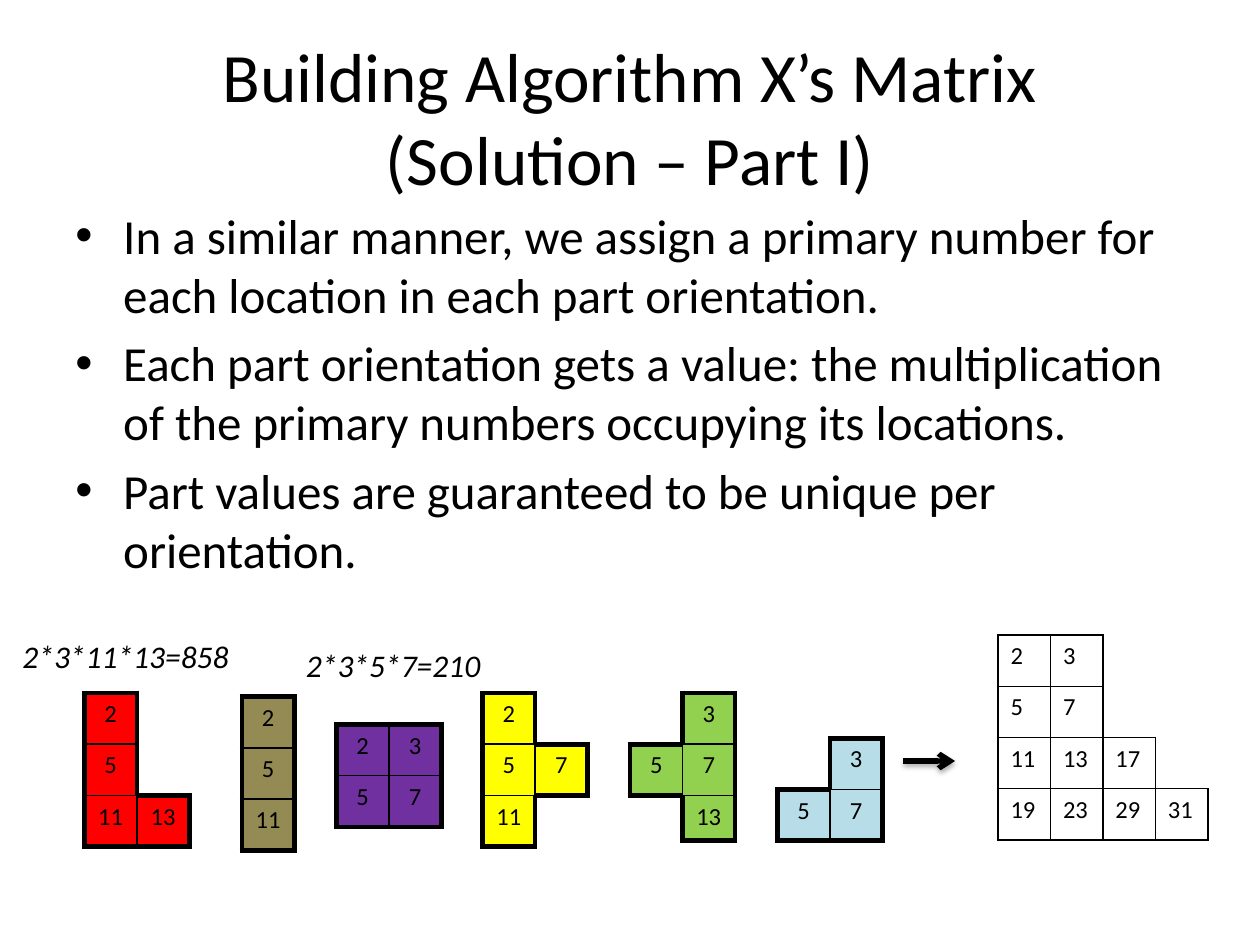
from dataclasses import dataclass

from lxml.etree import SubElement
from pptx import Presentation
from pptx.dml.color import RGBColor
from pptx.enum.shapes import MSO_CONNECTOR
from pptx.enum.text import MSO_ANCHOR, PP_ALIGN
from pptx.oxml import parse_xml
from pptx.oxml.ns import nsdecls, qn
from pptx.slide import Slide
from pptx.table import _Cell
from pptx.text.text import _Paragraph
from pptx.util import Inches, Pt

BLACK = RGBColor(0x00, 0x00, 0x00)
WHITE = RGBColor(0xFF, 0xFF, 0xFF)
RED = RGBColor(0xFF, 0x00, 0x00)
GREEN = RGBColor(0x92, 0xD0, 0x50)
OLIVE = RGBColor(0x94, 0x8A, 0x54)
LIGHT_BLUE = RGBColor(0xB7, 0xDE, 0xE8)
PURPLE = RGBColor(0x70, 0x30, 0xA0)
YELLOW = RGBColor(0xFF, 0xFF, 0x00)

CELL_WIDTH = Inches(5 / 12)
CELL_HEIGHT = Inches(1.22 / 3)
INNER_BORDER = 1
NEIGHBOURS = {"lnL": (0, -1), "lnR": (0, 1), "lnT": (-1, 0), "lnB": (1, 0)}
TITLE_FORMAT = {"name": "Calibri", "size": Pt(39.6)}
BODY_FORMAT = {"name": "Calibri", "size": Pt(28)}
LABEL_FORMAT = {"name": "Calibri", "size": Pt(18), "italic": True}
NUMBER_FORMAT = {"name": "Calibri", "size": Pt(14)}


@dataclass
class Part:
    left: float
    top: float
    color: RGBColor
    rows: list[list[str]]
    outline: int = 3
    alignment: PP_ALIGN = PP_ALIGN.CENTER
    last_row_height: int = CELL_HEIGHT


@dataclass
class TextBlock:
    left: float
    top: float
    width: float
    height: float
    lines: list[str]
    format: dict
    anchor: MSO_ANCHOR = MSO_ANCHOR.TOP
    alignment: PP_ALIGN = PP_ALIGN.LEFT
    bulleted: bool = False


TEXT_BLOCKS = [
    TextBlock(0.5, 0.3, 9, 1.25, ["Building Algorithm X’s Matrix\v(Solution – Part I)"],
              TITLE_FORMAT, MSO_ANCHOR.MIDDLE, PP_ALIGN.CENTER),
    TextBlock(0.5, 1.58, 9, 4.95, [
        "In a similar manner, we assign a primary number for each location in each part orientation.",
        "Each part orientation gets a value: the multiplication of the primary numbers occupying its locations.",
        "Part values are guaranteed to be unique per orientation.",
    ], BODY_FORMAT, bulleted=True),
    TextBlock(0.08, 5.01, 2, 0.4, ["2*3*11*13=858"], LABEL_FORMAT),
    TextBlock(2.33, 5.08, 2, 0.4, ["2*3*5*7=210"], LABEL_FORMAT),
]

PARTS = [
    Part(0.67, 5.5, RED, [["2", ""], ["5", ""], ["11", "13"]]),
    Part(5, 5.5, GREEN, [["", "3"], ["5", "7"], ["", "13"]], last_row_height=Inches(0.36)),
    Part(1.92, 5.53, OLIVE, [["2"], ["5"], ["11"]]),
    Part(6.17, 5.86, LIGHT_BLUE, [["", "3"], ["5", "7"]]),
    Part(2.67, 5.75, PURPLE, [["2", "3"], ["5", "7"]]),
    Part(3.83, 5.5, YELLOW, [["2", ""], ["5", "7"], ["11", ""]]),
]
BOARD = Part(7.92, 5.04, WHITE, [
    ["2", "3", "", ""], ["5", "7", "", ""], ["11", "13", "17", ""], ["19", "23", "29", "31"],
], outline=1, alignment=PP_ALIGN.LEFT)


def write(paragraph: _Paragraph, text: str, format_values: dict) -> None:
    """Fill a paragraph with black text in the given format."""
    paragraph.text = text
    for run in paragraph.runs:
        run.font.color.rgb = BLACK
        for attribute, value in format_values.items():
            setattr(run.font, attribute, value)


def add_bullet(paragraph: _Paragraph) -> None:
    """Give a paragraph a hanging round bullet."""
    properties = paragraph._p.get_or_add_pPr()
    properties.set("marL", str(Inches(0.38)))
    properties.set("indent", str(-Inches(0.38)))
    SubElement(properties, qn("a:buFont"), typeface="Arial")
    SubElement(properties, qn("a:buChar"), char="•")
    paragraph.space_before = Pt(5.6)


def add_text_block(slide: Slide, block: TextBlock) -> None:
    """Draw a text box with one paragraph per line of content."""
    frame = slide.shapes.add_textbox(Inches(block.left), Inches(block.top),
                                     Inches(block.width), Inches(block.height)).text_frame
    frame.word_wrap = True
    frame.vertical_anchor = block.anchor
    for index, line in enumerate(block.lines):
        paragraph = frame.add_paragraph() if index else frame.paragraphs[0]
        write(paragraph, line, block.format)
        paragraph.alignment = block.alignment
        if block.bulleted:
            add_bullet(paragraph)


def number_at(part: Part, row: int, column: int) -> str:
    """Return the number at a location, or nothing outside the part."""
    inside = 0 <= row < len(part.rows) and 0 <= column < len(part.rows[0])
    return part.rows[row][column] if inside else ""


def set_borders(cell: _Cell, part: Part, row: int, column: int) -> None:
    """Outline the part heavily and separate its own locations thinly."""
    number = number_at(part, row, column)
    for position, (side, (down, across)) in enumerate(NEIGHBOURS.items()):
        neighbour = number_at(part, row + down, column + across)
        width = INNER_BORDER if number and neighbour else part.outline
        paint = (f'<a:solidFill><a:srgbClr val="{BLACK}"/></a:solidFill>'
                 if number or neighbour else "<a:noFill/>")
        border = parse_xml(f'<a:{side} {nsdecls("a")} w="{Pt(width)}">{paint}</a:{side}>')
        cell._tc.get_or_add_tcPr().insert(position, border)


def add_part(slide: Slide, part: Part):
    """Draw a part as a table of numbered locations and return the table."""
    row_count, column_count = len(part.rows), len(part.rows[0])
    height = CELL_HEIGHT * (row_count - 1) + part.last_row_height
    table = slide.shapes.add_table(row_count, column_count, Inches(part.left), Inches(part.top),
                                   CELL_WIDTH * column_count, height).table
    table.first_row = table.horz_banding = False
    for column in table.columns:
        column.width = CELL_WIDTH
    for row in table.rows:
        row.height = CELL_HEIGHT
    table.rows[row_count - 1].height = part.last_row_height
    for row, numbers in enumerate(part.rows):
        for column, number in enumerate(numbers):
            cell = table.cell(row, column)
            if number:
                cell.fill.solid()
                cell.fill.fore_color.rgb = part.color
                write(cell.text_frame.paragraphs[0], number, NUMBER_FORMAT)
                cell.text_frame.paragraphs[0].alignment = part.alignment
            else:
                cell.fill.background()
                cell.margin_top = cell.margin_bottom = 0
            set_borders(cell, part, row, column)
    return table


def add_arrow(slide: Slide) -> None:
    """Draw the shadowed arrow that leads from the parts to the board."""
    arrow = slide.shapes.add_connector(MSO_CONNECTOR.STRAIGHT, Inches(7.17), Inches(6.04),
                                       Inches(7.58), Inches(6.04))
    arrow.line.color.rgb = BLACK
    arrow.line.width = Pt(3)
    properties = arrow._element.spPr
    SubElement(properties.find(qn("a:ln")), qn("a:tailEnd"), type="arrow")
    properties.append(parse_xml(
        f'<a:effectLst {nsdecls("a")}><a:outerShdw blurRad="{Pt(3.1)}" dist="{Pt(1.8)}" '
        f'dir="5400000" rotWithShape="0"><a:srgbClr val="{BLACK}"><a:alpha val="35000"/>'
        '</a:srgbClr></a:outerShdw></a:effectLst>'))


def main() -> None:
    """Build the slide and save it."""
    presentation = Presentation()
    presentation.slide_width, presentation.slide_height = Inches(10), Inches(7.5)
    slide = presentation.slides.add_slide(presentation.slide_layouts[6])
    for block in TEXT_BLOCKS:
        add_text_block(slide, block)
    for part in PARTS:
        add_part(slide, part)
    add_arrow(slide)
    board = add_part(slide, BOARD)
    board.cell(0, 2).merge(board.cell(1, 3))
    presentation.save("out.pptx")


if __name__ == "__main__":
    main()
